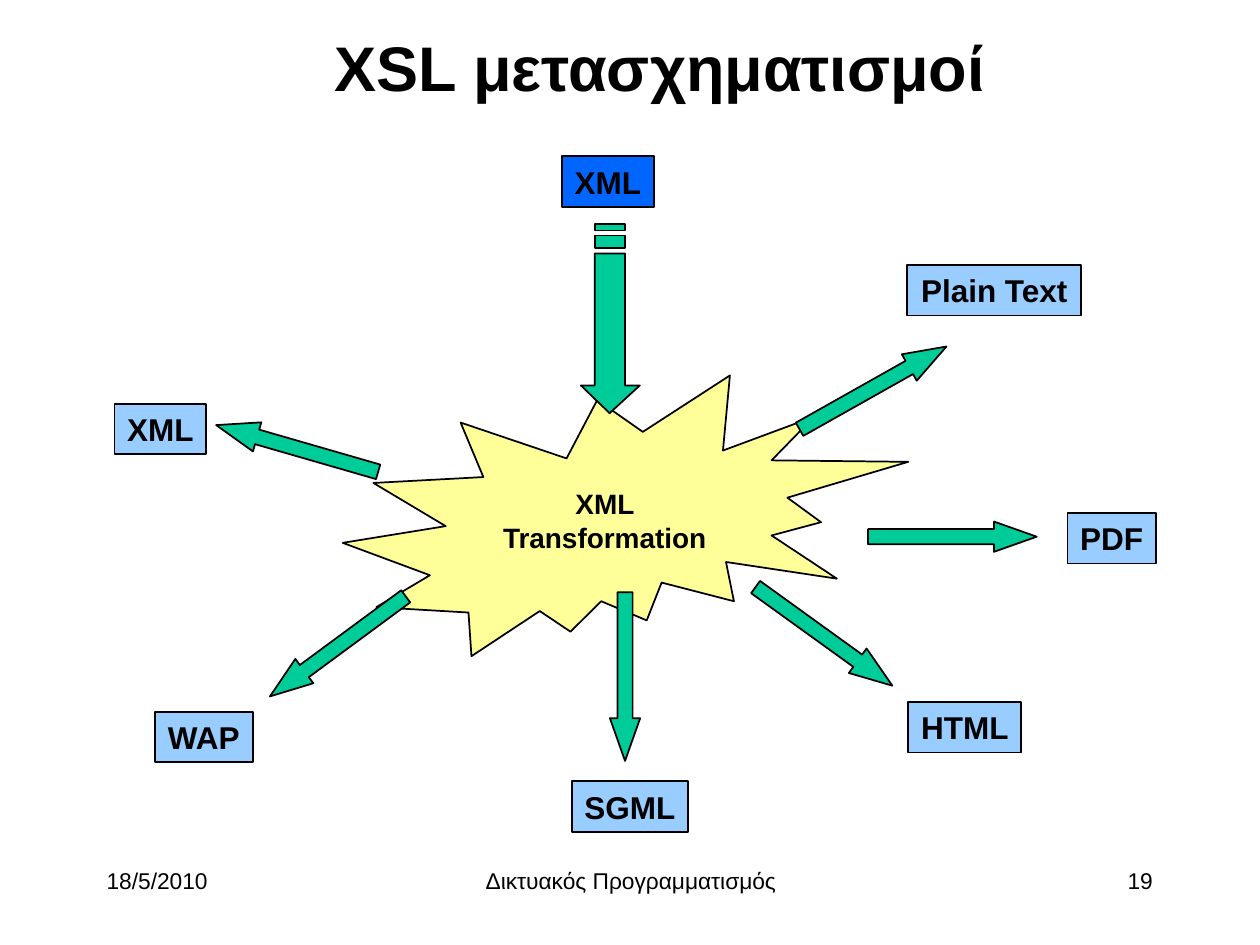
"""Build a slide showing the output formats reached by XSL transformations."""
from pptx import Presentation
from pptx import util as u
from pptx.dml.color import RGBColor
from pptx.enum import shapes, text

COLORS = {
    "ink": "000000",
    "source": "0066FF",
    "target": "99CCFF",
    "engine": "FFFF99",
    "arrow": "00CC99",
}
FONT = "Arial"
FORMAT_HEIGHT, FORMAT_MARGIN = 1.02, 0.2
ARROW_LENGTH, ARROW_THICKNESS = 3.4, 0.61

FORMATS = [
    ("HTML", 18.31, 14.15, 2.28, "target"),
    ("PDF", 21.52, 10.34, 1.78, "target"),
    ("SGML", 11.53, 15.75, 2.34, "target"),
    ("Plain Text", 18.29, 5.34, 3.51, "target"),
    ("WAP", 3.12, 14.35, 1.98, "target"),
    ("XML", 11.33, 3.15, 1.85, "source"),
    ("XML", 2.31, 8.14, 1.85, "target"),
]
OUTPUT_ARROWS = [
    (19.2, 10.82, 0),
    (5.99, 9.04, 196.1),
    (12.6, 13.64, 90),
    (16.61, 12.83, 35.8),
    (6.81, 13.03, 143.6),
    (17.6, 7.82, 330.6),
]
FOOTERS = [
    ("18/5/2010", 1.9, 5.28, text.PP_ALIGN.LEFT),
    ("Δικτυακός Προγραμματισμός", 8.69, 8.05, text.PP_ALIGN.CENTER),
    ("19", 18.21, 5.28, text.PP_ALIGN.RIGHT),
]


def color(name):
    return RGBColor.from_string(COLORS[name])


def write(shape, wording, size, bold=False, align=text.PP_ALIGN.CENTER,
          anchor=text.MSO_ANCHOR.MIDDLE, wrap=True):
    frame = shape.text_frame
    frame.word_wrap = wrap
    frame.vertical_anchor = anchor
    paragraph = frame.paragraphs[0]
    paragraph.text = wording
    paragraph.alignment = align
    font = paragraph.font
    font.name, font.size, font.bold = FONT, u.Pt(size), bold
    font.color.rgb = color("ink")


def paint(shape, fill):
    shape.shadow.inherit = False
    shape.fill.solid()
    shape.fill.fore_color.rgb = color(fill)
    shape.line.color.rgb = color("ink")
    shape.line.width = u.Pt(1)


def add_label(slide, wording, box, size, **style):
    label = slide.shapes.add_textbox(*map(u.Cm, box))
    write(label, wording, size, **style)


def add_figure(slide, preset, box, fill):
    figure = slide.shapes.add_shape(preset, *map(u.Cm, box))
    paint(figure, fill)
    return figure


def add_format(slide, wording, left, top, width, fill):
    tile = add_figure(slide, shapes.MSO_SHAPE.RECTANGLE,
                      (left, top, width, FORMAT_HEIGHT), fill)
    write(tile, wording, 18, bold=True, wrap=False)
    frame = tile.text_frame
    frame.margin_left = frame.margin_right = u.Cm(FORMAT_MARGIN)


def add_output_arrow(slide, center_x, center_y, angle):
    box = (center_x - ARROW_LENGTH / 2, center_y - ARROW_THICKNESS / 2,
           ARROW_LENGTH, ARROW_THICKNESS)
    arrow = add_figure(slide, shapes.MSO_SHAPE.RIGHT_ARROW, box, "arrow")
    arrow.adjustments[0] = 0.5
    arrow.adjustments[1] = 1.41
    arrow.rotation = angle


def add_input_arrow(slide):
    left, right = 1199, 1260
    head = [(1290, 777), (right, 777), (right, 511), (left, 511),
            (left, 777), (1171, 777), (1229, 833)]
    stripes = [[(right, top), (left, top), (left, bottom), (right, bottom)]
               for top, bottom in ((475, 500), (452, 465))]
    builder = slide.shapes.build_freeform(*head[0], scale=u.Cm(0.01))
    builder.add_line_segments(head[1:], close=True)
    for stripe in stripes:
        builder.move_to(*stripe[0])
        builder.add_line_segments(stripe[1:], close=True)
    paint(builder.convert_to_shape(), "arrow")


def main():
    deck = Presentation()
    deck.slide_width, deck.slide_height = u.Cm(25.4), u.Cm(19.05)
    slide = deck.slides.add_slide(deck.slide_layouts[6])

    for wording, left, width, align in FOOTERS:
        add_label(slide, wording, (left, 17.35, width, 1.27), 13,
                  align=align, anchor=text.MSO_ANCHOR.TOP)
    add_label(slide, "XSL μετασχηματισμοί", (3.71, 0.2, 19.2, 2.29), 36,
              bold=True)

    engine = add_figure(slide, shapes.MSO_SHAPE.EXPLOSION2,
                        (6.91, 7.57, 11.4, 5.66), "engine")
    write(engine, "XML Transformation", 16, bold=True)

    for item in FORMATS:
        add_format(slide, *item)
    add_input_arrow(slide)
    for arrow in OUTPUT_ARROWS:
        add_output_arrow(slide, *arrow)

    deck.save("out.pptx")


if __name__ == "__main__":
    main()
